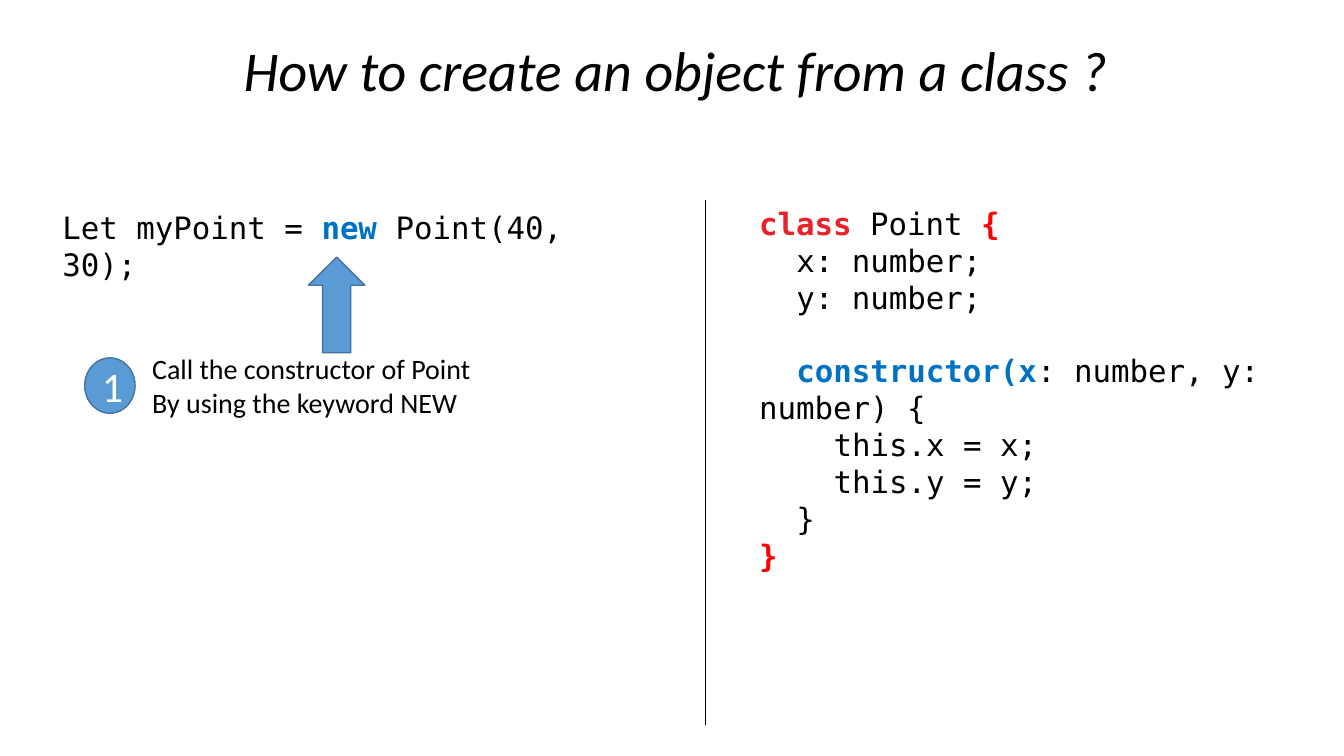
"""Build a slide on creating an object from a class."""
from dataclasses import dataclass

from lxml import etree
from pptx import Presentation
from pptx.dml.color import RGBColor
from pptx.enum.shapes import MSO_CONNECTOR, MSO_SHAPE
from pptx.enum.text import MSO_ANCHOR, MSO_AUTO_SIZE, PP_ALIGN
from pptx.oxml.ns import qn
from pptx.util import Inches, Pt

STRAIGHT = MSO_CONNECTOR.STRAIGHT
OVAL, UP_ARROW = MSO_SHAPE.OVAL, MSO_SHAPE.UP_ARROW
TOP, MIDDLE = MSO_ANCHOR.TOP, MSO_ANCHOR.MIDDLE
NO_FIT = MSO_AUTO_SIZE.NONE
CENTER, LEFT = PP_ALIGN.CENTER, PP_ALIGN.LEFT


@dataclass(frozen=True)
class Theme:
    """Colours, fonts and sizes of the slide."""

    ink: str = "000000"
    paper: str = "FFFFFF"
    crimson: str = "EA2227"
    red: str = "FF0000"
    blue: str = "0072C3"
    fill: str = "5B9BD5"
    outline: str = "43739E"
    prose: str = "Calibri"
    code: str = "DejaVu Sans Mono"
    title_size: int = 40
    badge_size: int = 30
    code_size: int = 22
    note_size: int = 20
    rule_width: float = 0.5
    outline_width: float = 1
    indent_step: float = 0.37
    section_gap: int = 26


THEME = Theme()

PROSE = {"name": THEME.prose, "size": Pt(THEME.note_size), "color": THEME.ink}
TITLE = {**PROSE, "size": Pt(THEME.title_size), "italic": True}
BADGE = {**PROSE, "size": Pt(THEME.badge_size), "color": THEME.paper}
CODE = {"name": THEME.code, "size": Pt(THEME.code_size), "color": THEME.ink, "bold": False}
CLASS_WORD = {**CODE, "color": THEME.crimson, "bold": True}
BRACE = {**CODE, "color": THEME.red, "bold": True}
KEYWORD = {**CODE, "color": THEME.blue, "bold": True}

HEADING = [(0, 0, [("How to create an object from a class ?", TITLE)])]
STEP_NUMBER = [(0, 0, [("1", BADGE)])]
CLASS_CODE = [
    (0, 0, [("class ", CLASS_WORD), ("Point ", CODE), ("{", BRACE)]),
    (1, 0, [("x: number;", CODE)]),
    (1, 0, [("y: number;", CODE)]),
    (1, THEME.section_gap, [("constructor(x", KEYWORD), (": number, y: number) {", CODE)]),
    (2, 0, [("this.x = x;", CODE)]),
    (2, 0, [("this.y = y;", CODE)]),
    (1, 0, [("}", CODE)]),
    (0, 0, [("}", BRACE)]),
]
CALL_CODE = [(0, 0, [("Let myPoint = ", CODE), ("new", KEYWORD), (" Point(40, 30);", CODE)])]
STEP_NOTE = [
    (0, 0, [("Call the constructor of Point", PROSE)]),
    (0, 0, [("By using the keyword NEW", PROSE)]),
]

TITLE_BOX = (2.27, 0.3, 8.86, 0.77)
CLASS_BOX = (7.43, 1.98, 6.49, 3.8)
CALL_BOX = (0.52, 2.02, 5.64, 0.47)
NOTE_BOX = (1.41, 3.44, 3.39, 0.77)
BADGE_BOX = (0.84, 3.55, 0.5, 0.55)
ARROW_BOX = (3.06, 2.55, 0.56, 0.95)
DIVIDER = (7, 1.98, 7, 7.19)


def inches(lengths):
    """Convert lengths in inches to slide units."""
    return [Inches(length) for length in lengths]


def write(frame, lines, align=LEFT, anchor=TOP, wrap=True):
    """Fill a text frame with indented lines of formatted runs."""
    frame.auto_size = NO_FIT
    frame.word_wrap = wrap
    frame.vertical_anchor = anchor
    for index, (level, gap, runs) in enumerate(lines):
        line = frame.add_paragraph() if index else frame.paragraphs[0]
        line.alignment = align
        line.space_before = Pt(gap)
        if level:
            indent = Inches(level * THEME.indent_step)
            line._p.get_or_add_pPr().set("indent", str(indent))
        for words, look in runs:
            run = line.add_run()
            run.text = words
            for key, value in look.items():
                if key == "color":
                    run.font.color.rgb = RGBColor.from_string(value)
                else:
                    setattr(run.font, key, value)


def add_marker(slide, preset, box):
    """Add a filled and outlined preset shape."""
    marker = slide.shapes.add_shape(preset, *inches(box))
    marker.shadow.inherit = False
    marker.fill.solid()
    marker.fill.fore_color.rgb = RGBColor.from_string(THEME.fill)
    marker.line.color.rgb = RGBColor.from_string(THEME.outline)
    marker.line.width = Pt(THEME.outline_width)
    return marker


def add_divider(slide):
    """Add the thin rule between the call and the class."""
    divider = slide.shapes.add_connector(STRAIGHT, *inches(DIVIDER))
    divider.line.color.rgb = RGBColor.from_string(THEME.ink)
    divider.line.width = Pt(THEME.rule_width)
    etree.SubElement(divider._element.spPr, qn("a:effectLst"))


def add_words(slide, box, lines):
    """Add a text box holding the given lines."""
    write(slide.shapes.add_textbox(*inches(box)).text_frame, lines)


def main():
    """Compose and save the slide."""
    deck = Presentation()
    deck.slide_width, deck.slide_height = inches((13.33, 7.5))
    slide = deck.slides.add_slide(deck.slide_layouts.get_by_name("Title Only"))

    heading = slide.shapes.title
    heading.left, heading.top, heading.width, heading.height = inches(TITLE_BOX)
    write(heading.text_frame, HEADING, CENTER, wrap=False)

    add_words(slide, CLASS_BOX, CLASS_CODE)
    add_divider(slide)
    add_words(slide, CALL_BOX, CALL_CODE)
    badge = add_marker(slide, OVAL, BADGE_BOX)
    write(badge.text_frame, STEP_NUMBER, CENTER, MIDDLE)
    add_words(slide, NOTE_BOX, STEP_NOTE)
    add_marker(slide, UP_ARROW, ARROW_BOX)

    deck.save("out.pptx")


if __name__ == "__main__":
    main()
